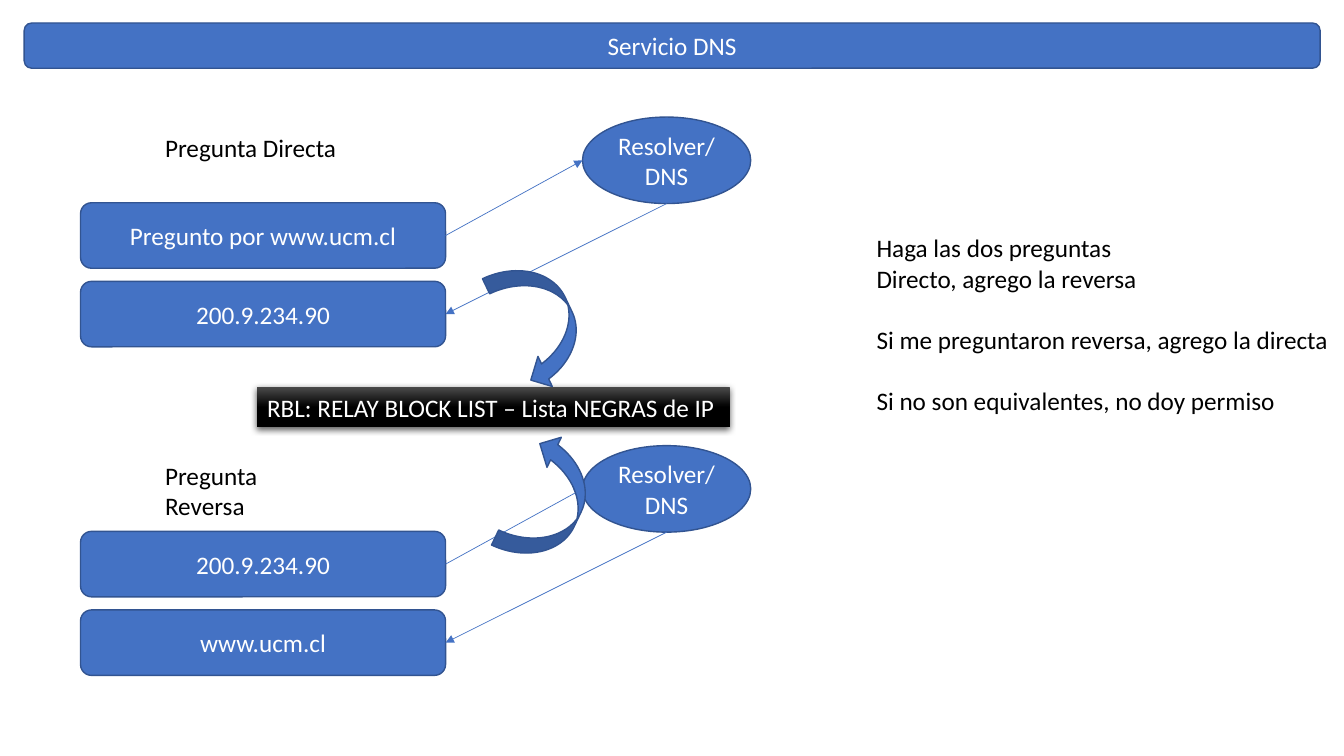
from dataclasses import dataclass

from lxml.etree import SubElement
from pptx import Presentation
from pptx.dml.color import RGBColor
from pptx.enum.shapes import MSO_CONNECTOR, MSO_SHAPE
from pptx.enum.text import MSO_ANCHOR, PP_ALIGN
from pptx.oxml.ns import qn
from pptx.shapes.autoshape import Shape
from pptx.slide import Slide
from pptx.util import Cm, Pt


@dataclass(frozen=True)
class Theme:
    blue: str = "4472C4"
    outline: str = "325491"
    white: str = "FFFFFF"
    black: str = "000000"
    charcoal: str = "4B4B4B"
    font: str = "Calibri"
    size: float = 18
    line_height: float = 22
    outline_width: float = 1
    arrow_width: float = 0.5


@dataclass(frozen=True)
class Box:
    """Position and size in centimetres."""
    left: float
    top: float
    width: float
    height: float


@dataclass(frozen=True)
class Lookup:
    """One exchange with the resolver."""
    top: float
    title: str
    question: str
    answer: str


@dataclass(frozen=True)
class CurvedArrow:
    box: Box
    rotation: float
    flipped: bool


THEME = Theme()
LOOKUPS = [
    Lookup(2.95, "Pregunta Directa", "Pregunto por www.ucm.cl", "200.9.234.90"),
    Lookup(11.23, "Pregunta Reversa", "200.9.234.90", "www.ucm.cl"),
]
CURVED_ARROWS = [
    CurvedArrow(Box(11.99, 7.29, 3.25, 1.68), 64.5, False),
    CurvedArrow(Box(12.22, 11.79, 3.25, 1.68), 295.5, True),
]
# Each group is set apart from the one before by one line
ADVICE = [
    ["Haga las dos preguntas", "Directo, agrego la reversa"],
    ["Si me preguntaron reversa, agrego la directa"],
    ["Si no son equivalentes, no doy permiso"],
]


def write(shape: Shape, groups: list[list[str]], *, color: str = THEME.black,
          align: PP_ALIGN = PP_ALIGN.LEFT, anchor: MSO_ANCHOR = MSO_ANCHOR.TOP,
          wrap: bool = False) -> None:
    frame = shape.text_frame
    frame.word_wrap = wrap
    frame.vertical_anchor = anchor
    lines = [(text, g > 0 and i == 0)
             for g, group in enumerate(groups) for i, text in enumerate(group)]
    for number, (text, gap) in enumerate(lines):
        paragraph = frame.add_paragraph() if number else frame.paragraphs[0]
        paragraph.alignment = align
        if gap:
            paragraph.space_before = Pt(THEME.line_height)
        run = paragraph.add_run()
        run.text = text
        run.font.name = THEME.font
        run.font.size = Pt(THEME.size)
        run.font.color.rgb = RGBColor.from_string(color)


def add_label(slide: Slide, box: Box, groups: list[list[str]]) -> None:
    label = slide.shapes.add_textbox(
        Cm(box.left), Cm(box.top), Cm(box.width), Cm(box.height))
    write(label, groups)


def add_block(slide: Slide, kind: MSO_SHAPE, box: Box, text: str = "") -> Shape:
    block = slide.shapes.add_shape(
        kind, Cm(box.left), Cm(box.top), Cm(box.width), Cm(box.height))
    block.shadow.inherit = False
    block.fill.solid()
    block.fill.fore_color.rgb = RGBColor.from_string(THEME.blue)
    block.line.color.rgb = RGBColor.from_string(THEME.outline)
    block.line.width = Pt(THEME.outline_width)
    if text:
        write(block, [[text]], color=THEME.white, align=PP_ALIGN.CENTER,
              anchor=MSO_ANCHOR.MIDDLE, wrap=True)
    return block


def add_arrow(slide: Slide, start: tuple[int, int], end: tuple[int, int]) -> None:
    arrow = slide.shapes.add_connector(MSO_CONNECTOR.STRAIGHT, *start, *end)
    arrow.line.color.rgb = RGBColor.from_string(THEME.blue)
    arrow.line.width = Pt(THEME.arrow_width)
    SubElement(arrow.line._get_or_add_ln(), qn("a:tailEnd"), type="triangle")
    SubElement(arrow._element.spPr, qn("a:effectLst"))


def right_of(shape: Shape) -> tuple[int, int]:
    return shape.left + shape.width, shape.top + shape.height // 2


def add_lookup(slide: Slide, lookup: Lookup) -> None:
    top = lookup.top
    question = add_block(slide, MSO_SHAPE.ROUNDED_RECTANGLE,
                         Box(2.03, top + 2.16, 9.2, 1.65), lookup.question)
    resolver = add_block(slide, MSO_SHAPE.OVAL,
                         Box(14.68, top, 4.24, 2.18), "Resolver/DNS")
    answer = add_block(slide, MSO_SHAPE.ROUNDED_RECTANGLE,
                       Box(2.03, top + 4.14, 9.2, 1.65), lookup.answer)
    resolver_left = (resolver.left, resolver.top + resolver.height // 2)
    resolver_bottom = (resolver.left + resolver.width // 2,
                       resolver.top + resolver.height)
    add_arrow(slide, right_of(question), resolver_left)
    add_arrow(slide, resolver_bottom, right_of(answer))
    add_label(slide, Box(3.91, top + 0.25, 4.95, 1.02), [[lookup.title]])


def add_block_list(slide: Slide) -> None:
    banner = add_block(slide, MSO_SHAPE.RECTANGLE, Box(6.48, 9.75, 11.91, 1.02))
    write(banner, [["RBL: RELAY BLOCK LIST – Lista NEGRAS de IP"]],
          color=THEME.white)
    banner.line.fill.background()
    # Charcoal fades to black by the middle
    banner.fill.gradient()
    banner.fill.gradient_angle = 270
    fade = [(0, THEME.charcoal), (0.5, THEME.black)]
    for stop, (position, color) in zip(banner.fill.gradient_stops, fade):
        stop.position = position
        stop.color.rgb = RGBColor.from_string(color)
    # Soft shadow below
    effects = banner._element.spPr.find(qn("a:effectLst"))
    shadow = SubElement(effects, qn("a:outerShdw"), blurRad=str(Pt(4.5)),
                        dist=str(Pt(1.5)), dir="5400000", algn="ctr",
                        rotWithShape="0")
    tint = SubElement(shadow, qn("a:srgbClr"), val=THEME.black)
    SubElement(tint, qn("a:alpha"), val="63000")


def add_curved_arrow(slide: Slide, curve: CurvedArrow) -> None:
    arrow = add_block(slide, MSO_SHAPE.CURVED_DOWN_ARROW, curve.box)
    arrow.rotation = curve.rotation
    if curve.flipped:
        arrow._element.spPr.find(qn("a:xfrm")).set("flipV", "1")


def main() -> None:
    deck = Presentation()
    deck.slide_width, deck.slide_height = Cm(33.87), Cm(19.05)
    slide = deck.slides.add_slide(deck.slide_layouts[6])

    # Title bar
    add_block(slide, MSO_SHAPE.ROUNDED_RECTANGLE,
              Box(0.61, 0.58, 32.66, 1.14), "Servicio DNS")
    # Direct and reverse lookups
    for lookup in LOOKUPS:
        add_lookup(slide, lookup)
    # Advice at the right
    add_label(slide, Box(21.84, 5.74, 12.01, 4.88), ADVICE)
    # Block list and the arrows leading to it
    add_block_list(slide)
    for curve in CURVED_ARROWS:
        add_curved_arrow(slide, curve)

    deck.save("out.pptx")


if __name__ == "__main__":
    main()
